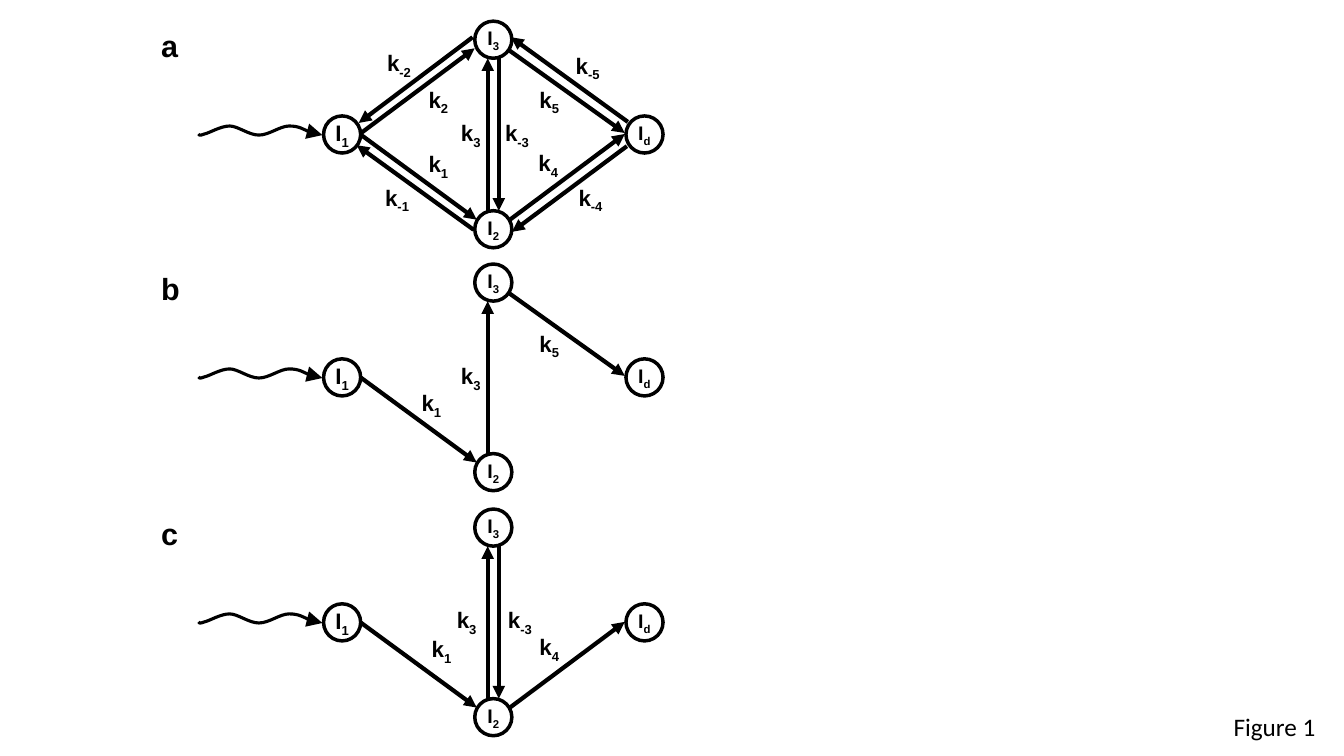
from pptx import Presentation
from pptx.dml.color import RGBColor
from pptx.enum.shapes import MSO_CONNECTOR, MSO_SHAPE
from pptx.enum.text import MSO_ANCHOR, PP_ALIGN
from pptx.oxml.ns import qn
from pptx.util import Pt
from lxml.etree import SubElement

COLORS = {"ink": "000000", "paper": "FFFFFF"}
PANEL_LEFT = 106.5
NODE_SIZE = 26.5
LABEL_WIDTH, LABEL_HEIGHT = 23, 16.5

NODES = {
    "1": (124.6, 67.7, 16),
    "2": (232.6, 135.4, 14),
    "3": (232.6, 0, 14),
    "d": (340.6, 67.7, 14),
}
ARROWS = {
    "1": (150.5, 80.6, 234, 141.8),
    "-1": (231.8, 149, 148.3, 88.6),
    "2": (150.5, 80.6, 232.6, 19.4),
    "-2": (231.1, 11.5, 149.8, 72.7),
    "3": (241.9, 135.4, 241.9, 26.6),
    "-3": (249.8, 26.6, 249.8, 135.4),
    "4": (257.8, 141.8, 339.8, 80.6),
    "-4": (341.3, 89.3, 259.2, 150.5),
    "5": (256.3, 20.2, 339.8, 79.9),
    "-5": (342, 72, 258.5, 11.5),
}
WAVE = [
    (35.3, 80.6),
    (35.3, 81.4), (36, 82.1), (39.6, 80.6),
    (43.2, 79.9), (51.1, 74.9), (57.6, 74.9),
    (63.4, 74.9), (71.3, 81.4), (78.5, 81.4),
    (85.7, 81.4), (93.6, 74.9), (100.1, 74.9),
    (107.3, 74.9), (116.6, 80.6), (120.2, 81.4),
    (123.8, 82.8), (123.8, 82.1), (123.8, 81.4),
]
PANELS = [
    ("a", 15.1, {
        "1": (195.1, 95), "-1": (165.6, 118.8),
        "2": (195.1, 49), "-2": (167, 23),
        "3": (218.2, 72.7), "-3": (251.3, 72.7),
        "4": (273.6, 94.3), "-4": (303.8, 118.8),
        "5": (274.3, 49), "-5": (301.7, 24.5),
    }),
    ("b", 188.6, {"1": (190.1, 92.2), "3": (218.2, 72.7), "5": (274.3, 49.7)}),
    ("c", 363.6, {
        "1": (197.3, 92.9), "3": (215.3, 72), "-3": (253.4, 72), "4": (274.3, 91.4),
    }),
]


def color(name):
    return RGBColor.from_string(COLORS[name])


def style_font(font, size, name="Arial", bold=True):
    font.size, font.name, font.bold = Pt(size), name, bold
    font.color.rgb = color("ink")


def style_line(shape, width):
    shape.line.color.rgb = color("ink")
    shape.line.width = Pt(width)


def add_arrowhead(shape, size):
    SubElement(shape.line._get_or_add_ln(), qn("a:tailEnd"), type="triangle", w=size, len=size)


def write_symbol(frame, letter, index, size):
    frame.margin_left = frame.margin_right = frame.margin_top = frame.margin_bottom = 0
    frame.vertical_anchor = MSO_ANCHOR.MIDDLE
    frame.word_wrap = True
    para = frame.paragraphs[0]
    para.alignment = PP_ALIGN.CENTER
    for text in (letter, index):
        span = para.add_run()
        span.text = text
        style_font(span.font, size)
    span._r.get_or_add_rPr().set("baseline", "-25000")


def add_wave(shapes, left, top):
    points = [(Pt(left + x), Pt(top + y)) for x, y in WAVE]
    builder = shapes.build_freeform(*points[0])
    builder.add_line_segments(points[1:], close=False)
    wave = builder.convert_to_shape()
    steps = list(wave._element.iter(qn("a:lnTo")))
    outline = steps[0].getparent()
    for start in range(0, len(steps), 3):
        curve = SubElement(outline, qn("a:cubicBezTo"))
        for step in steps[start:start + 3]:
            curve.append(step[0])
            outline.remove(step)
    wave.shadow.inherit = False
    wave.fill.background()
    style_line(wave, 2.25)
    add_arrowhead(wave, "lg")


def add_arrow(shapes, left, top, ends):
    x1, y1, x2, y2 = ends
    arrow = shapes.add_connector(
        MSO_CONNECTOR.STRAIGHT, Pt(left + x1), Pt(top + y1), Pt(left + x2), Pt(top + y2))
    style_line(arrow, 3)
    add_arrowhead(arrow, "med")
    SubElement(arrow._element.spPr, qn("a:effectLst"))


def add_node(shapes, left, top, index, size):
    node = shapes.add_shape(MSO_SHAPE.OVAL, Pt(left), Pt(top), Pt(NODE_SIZE), Pt(NODE_SIZE))
    node.shadow.inherit = False
    node.fill.solid()
    node.fill.fore_color.rgb = color("paper")
    style_line(node, 2.5)
    write_symbol(node.text_frame, "I", index, size)


def add_panel(page, left, top, letter, labels):
    shapes = page.shapes.add_group_shape().shapes
    title = shapes.add_textbox(Pt(left), Pt(top), Pt(31), Pt(34))
    frame = title.text_frame
    frame.margin_left = frame.margin_right = Pt(8.64)
    frame.margin_top = frame.margin_bottom = Pt(4.32)
    frame.word_wrap = True
    frame.text = letter
    style_font(frame.paragraphs[0].runs[0].font, 21.8)

    add_wave(shapes, left, top)
    for index in labels:
        add_arrow(shapes, left, top, ARROWS[index])
    for index, (x, y, size) in NODES.items():
        add_node(shapes, left + x, top + y, index, size)
    for index, (x, y) in labels.items():
        label = shapes.add_textbox(
            Pt(left + x), Pt(top + y), Pt(LABEL_WIDTH), Pt(LABEL_HEIGHT))
        write_symbol(label.text_frame, "k", index, 16)


def add_caption(page, left, top, width, height):
    box = page.shapes.add_textbox(Pt(left), Pt(top), Pt(width), Pt(height))
    box.text_frame.word_wrap = False
    box.text_frame.text = "Figure 1"
    style_font(box.text_frame.paragraphs[0].runs[0].font, 18, "Calibri", False)


def main():
    deck = Presentation()
    deck.slide_width, deck.slide_height = Pt(960), Pt(540)
    page = deck.slides.add_slide(deck.slide_layouts[6])
    add_caption(page, 874, 504.7, 73.5, 29)
    for letter, top, labels in PANELS:
        add_panel(page, PANEL_LEFT, top, letter, labels)
    deck.save("out.pptx")


if __name__ == "__main__":
    main()
